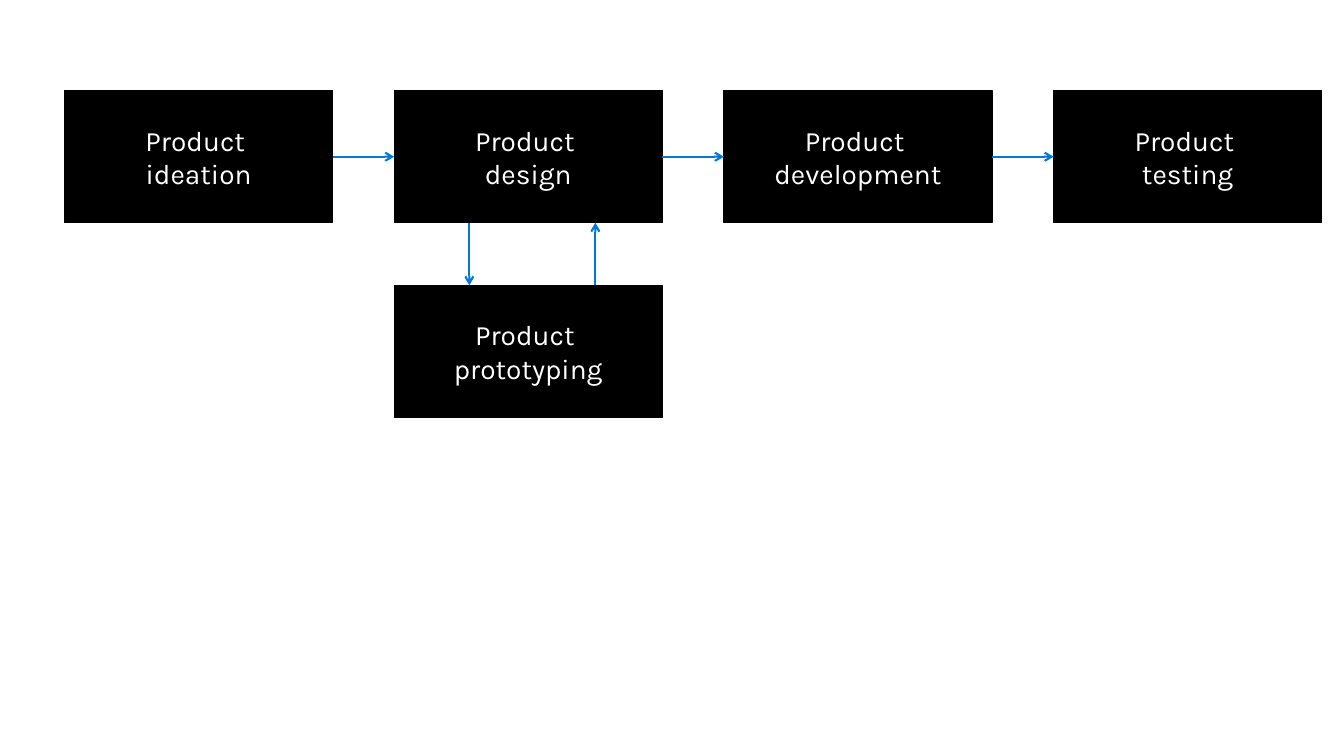
from itertools import pairwise

from lxml.etree import SubElement
from pptx import Presentation
from pptx.dml.color import RGBColor
from pptx.enum.shapes import MSO_CONNECTOR as Link, MSO_SHAPE as Shape
from pptx.enum.text import MSO_ANCHOR as Anchor, PP_ALIGN as Align
from pptx.oxml.ns import qn
from pptx.util import Inches, Pt

BLACK = RGBColor(0x00, 0x00, 0x00)
WHITE = RGBColor(0xFF, 0xFF, 0xFF)
BLUE = RGBColor(0x00, 0x78, 0xD4)

# Grid in inches: first cell, distance between cells, box size
LEFT, TOP = 0.64, 0.9
COL, ROW = 3.27, 1.93
WIDE, HIGH = 2.66, 1.31

STAGES = ["ideation", "design", "development", "testing"]


def write(frame, text, font="Karla", size=20, color=WHITE, align=Align.CENTER):
    para = frame.paragraphs[0]
    para.text = text
    para.alignment = align
    for run in para.runs:
        run.font.name = font
        run.font.size = Pt(size)
        run.font.color.rgb = color


class Flow:
    """Draws boxes and arrows on a grid of columns and rows."""

    def __init__(self, slide, fill=BLACK, line=BLUE):
        self.slide = slide
        self.fill = fill
        self.line = line

    def box(self, text, col, row=0):
        box = self.slide.shapes.add_shape(
            Shape.RECTANGLE,
            Inches(LEFT + col * COL), Inches(TOP + row * ROW),
            Inches(WIDE), Inches(HIGH))
        box.shadow.inherit = False
        box.fill.solid()
        box.fill.fore_color.rgb = self.fill
        box.line.color.rgb = self.fill
        box.line.width = Pt(0.85)
        frame = box.text_frame
        frame.word_wrap = True
        frame.vertical_anchor = Anchor.MIDDLE
        frame.margin_left = frame.margin_right = Inches(0.2)
        frame.margin_top = frame.margin_bottom = Inches(0.16)
        write(frame, text)
        return box

    def arrow(self, x1, y1, x2, y2):
        arrow = self.slide.shapes.add_connector(Link.STRAIGHT, x1, y1, x2, y2)
        arrow.line.color.rgb = self.line
        arrow.line.width = Pt(1.5)
        SubElement(arrow.line._get_or_add_ln(), qn("a:tailEnd"), type="arrow")
        SubElement(arrow._element.spPr, qn("a:effectLst"))
        return arrow

    def join(self, start, end):
        """Arrow from the right side of one box to the left side of the next."""
        arrow = self.arrow(0, 0, 0, 0)
        arrow.begin_connect(start, 3)
        arrow.end_connect(end, 1)

    def drop(self, upper, lower, share, back=False):
        """Upright arrow between two boxes, at a share of their width."""
        x = upper.left + int(upper.width * share)
        ends = [upper.top + upper.height, lower.top]
        if back:
            ends.reverse()
        self.arrow(x, ends[0], x, ends[1])


def main():
    deck = Presentation()
    deck.slide_width, deck.slide_height = Inches(13.33), Inches(7.5)
    flow = Flow(deck.slides.add_slide(deck.slide_layouts[6]))

    boxes = [flow.box(f"Product \n{stage}", col)
             for col, stage in enumerate(STAGES)]
    proto = flow.box("Product \nprototyping", 1, 1)

    for start, end in pairwise(boxes):
        flow.join(start, end)
    flow.drop(boxes[1], proto, 0.28)
    flow.drop(boxes[1], proto, 0.75, back=True)

    deck.save("out.pptx")


if __name__ == "__main__":
    main()
